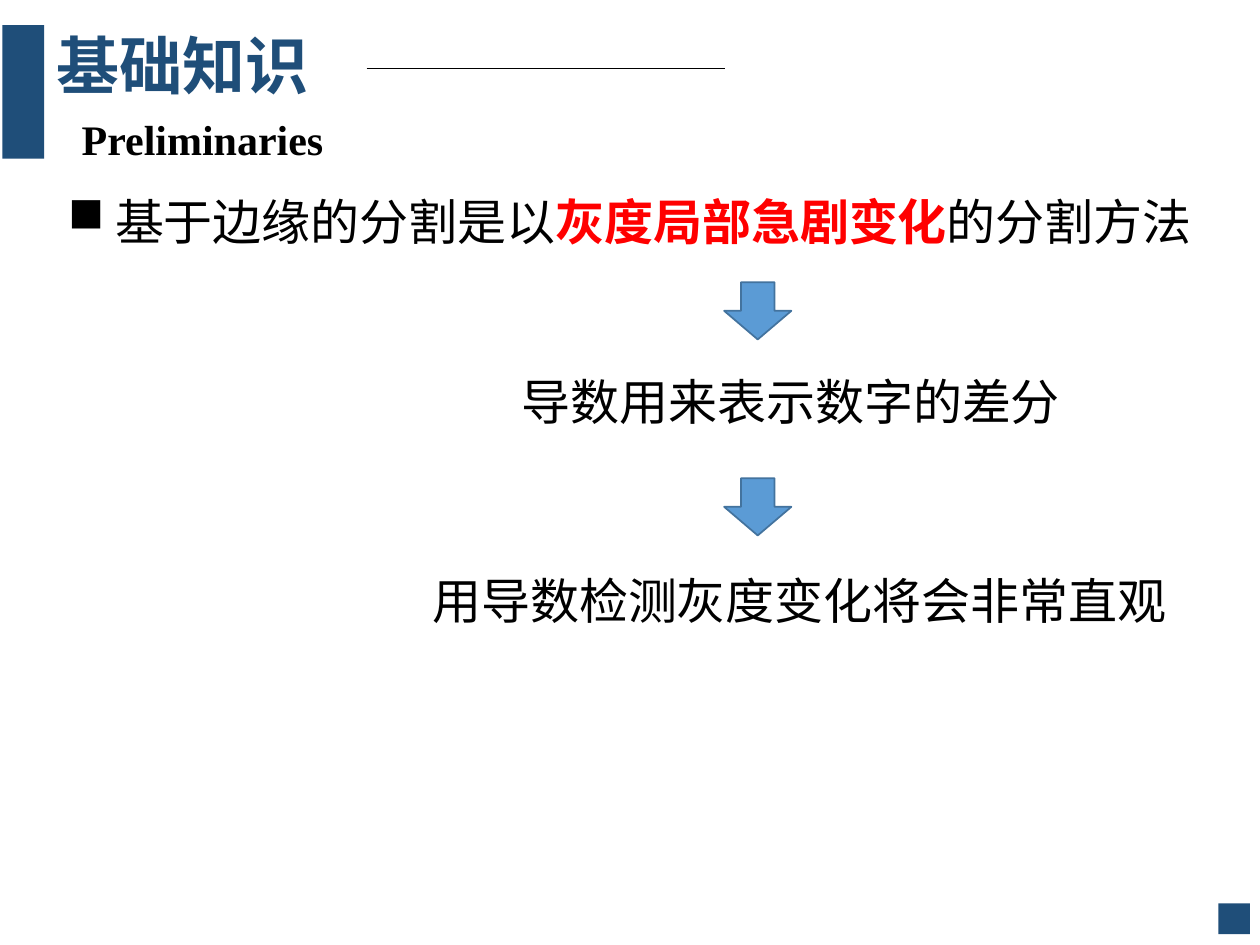
from lxml.etree import SubElement
from pptx import Presentation
from pptx.dml.color import RGBColor
from pptx.enum.shapes import MSO_CONNECTOR, MSO_SHAPE
from pptx.enum.text import MSO_ANCHOR
from pptx.oxml.ns import qn
from pptx.util import Pt

SERIF, SANS = "Times New Roman", "Noto Sans CJK SC"
NAVY, BLACK, RED = "1F4E79", "000000", "FF0000"
ARROW_FILL, ARROW_LINE = "5B9BD5", "43739E"

HEADINGS = [
    ("Preliminaries", (39.6, 49, 374.4, 64), 24, SERIF, BLACK),
    ("基础知识", (25.2, 8, 191.5, 62.5), 36, SANS, NAVY),
]
DEFINITION = [
    ("基于边缘的分割是以", BLACK, False),
    ("灰度局部急剧变化", RED, True),
    ("的分割方法", BLACK, False),
]
STEPS = [
    ("导数用来表示数字的差分", (291, 209, 325.5, 41), False),
    ("用导数检测灰度变化将会非常直观", (240, 322.5, 487.5, 41), True),
]
BLOCKS = [(696.2, 516.2, 18, 17.6), (1.4, 14.4, 23.8, 76.3)]
ARROW_TOPS = [161.3, 273.3]


def color(value):
    return RGBColor.from_string(value)


def add_box(page, place, wrap=True):
    box = page.shapes.add_textbox(*map(Pt, place))
    box.text_frame.word_wrap = wrap
    return box.text_frame


def style(span, size, face, shade, bold=False):
    font = span.font
    font.size, font.name, font.bold = Pt(size), face, bold
    font.color.rgb = color(shade)
    SubElement(span._r.get_or_add_rPr(), qn("a:ea")).set("typeface", SANS)


def add_block(page, kind, place, fill, line=None):
    block = page.shapes.add_shape(kind, *map(Pt, place))
    block.shadow.inherit = False
    block.fill.solid()
    block.fill.fore_color.rgb = color(fill)
    if line:
        block.line.color.rgb = color(line)
        block.line.width = Pt(1)
    else:
        block.line.fill.background()


def add_definition(page):
    para = add_box(page, (31.7, 105.8, 708.5, 177)).paragraphs[0]
    properties = para._p.get_or_add_pPr()
    properties.set("marL", str(Pt(27)))
    properties.set("indent", str(Pt(-27)))
    SubElement(properties, qn("a:buChar")).set("char", "■")
    for text, shade, bold in DEFINITION:
        span = para.add_run()
        span.text = text
        style(span, 28, SERIF, shade, bold)


def add_rule(page):
    rule = page.shapes.add_connector(
        MSO_CONNECTOR.STRAIGHT, Pt(209.5), Pt(39.3), Pt(414), Pt(39.3))
    rule.line.color.rgb = color(BLACK)
    rule.line.width = Pt(0.5)
    SubElement(rule._element.spPr, qn("a:effectLst"))


def main():
    deck = Presentation()
    deck.slide_width, deck.slide_height = Pt(720), Pt(540)
    page = deck.slides.add_slide(deck.slide_layouts[6])
    add_definition(page)
    for place in BLOCKS:
        add_block(page, MSO_SHAPE.RECTANGLE, place, NAVY)
    for text, place, size, face, shade in HEADINGS:
        frame = add_box(page, place)
        frame.vertical_anchor = MSO_ANCHOR.MIDDLE
        frame.text = text
        frame.paragraphs[0].line_spacing = 0.9
        style(frame.paragraphs[0].runs[0], size, face, shade, True)
    add_rule(page)
    for top in ARROW_TOPS:
        add_block(page, MSO_SHAPE.DOWN_ARROW, (413.8, top, 38.4, 32.7), ARROW_FILL, ARROW_LINE)
    for text, place, wrap in STEPS:
        frame = add_box(page, place, wrap)
        frame.text = text
        style(frame.paragraphs[0].runs[0], 28, SANS, BLACK)
    deck.save("out.pptx")


if __name__ == "__main__":
    main()
